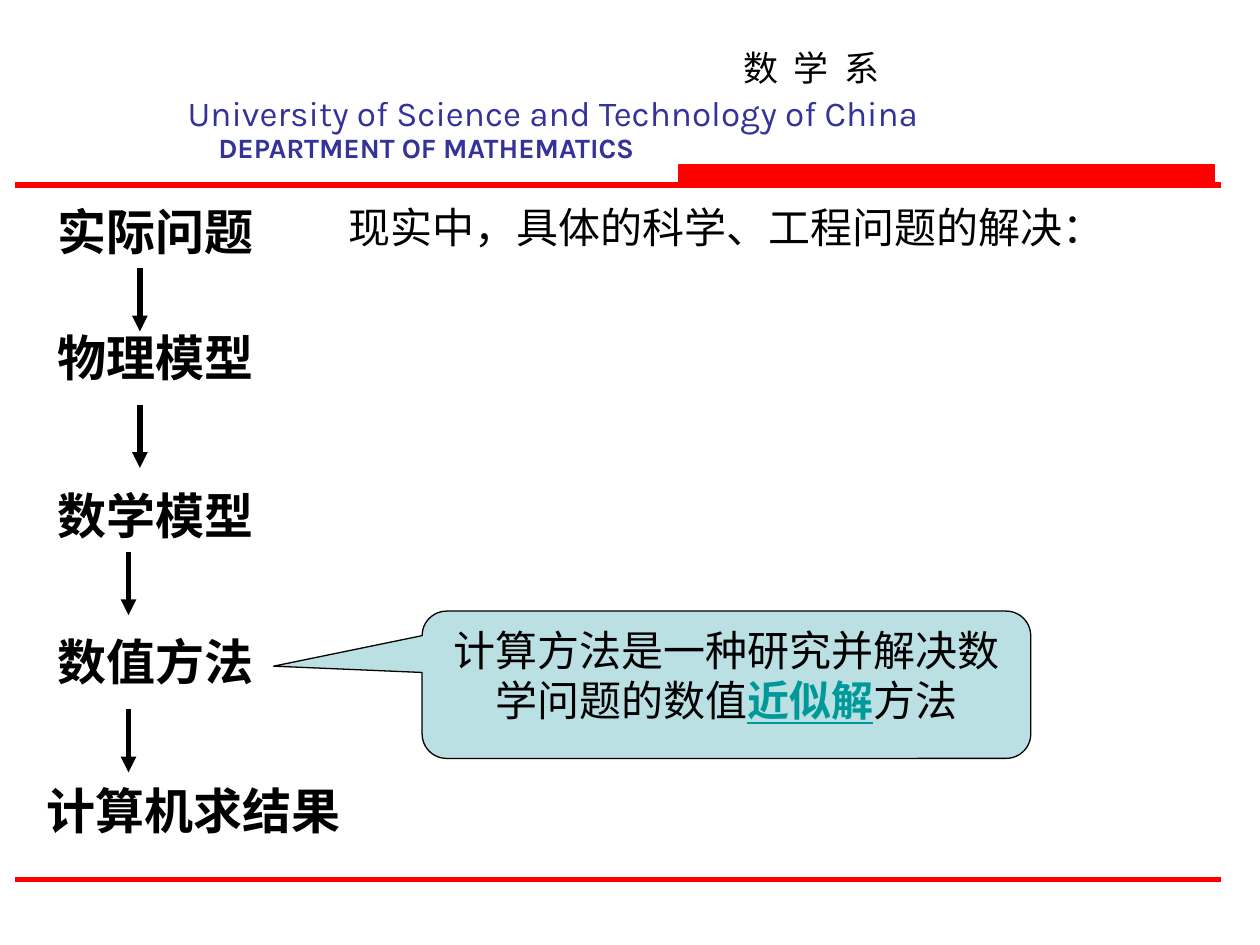
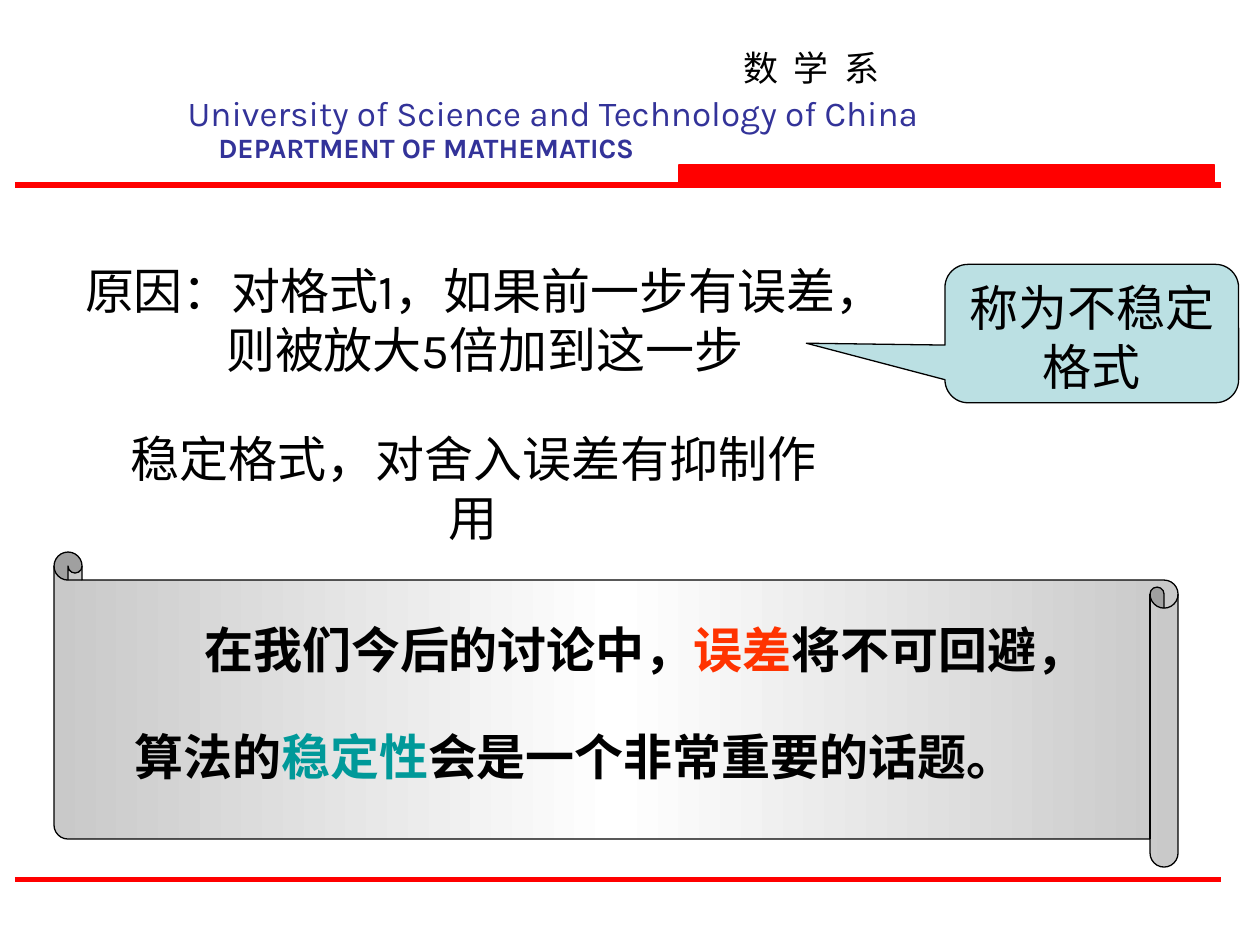
from lxml import etree
from pptx import Presentation
from pptx.dml.color import RGBColor
from pptx.enum import shapes, text
from pptx.oxml.ns import qn
from pptx.util import Cm, Pt

COLORS = {
    "red": "FF0000",
    "navy": "333399",
    "black": "000000",
    "teal": "009999",
    "orange": "FF3300",
    "callout": "BBE0E3",
    "silver": "C9C9C9",
    "white": "FFFFFF",
}
FONT = "Karla"
CJK_FONT = "Noto Sans CJK SC"
SCROLL_FONT = "Times New Roman"
CENTER = text.PP_ALIGN.CENTER
LEFT = text.PP_ALIGN.LEFT


def rgb(name):
    return RGBColor.from_string(COLORS[name])


def place(box):
    return [Cm(length) for length in box]


def write(paragraph, pieces, size, align=LEFT, font=FONT):
    """Fill a paragraph from (words, colour, bold, underline) pieces."""
    paragraph.alignment = align
    for words, color, bold, underline in pieces:
        run = paragraph.add_run()
        run.text = words
        run.font.name = font
        run.font.size = Pt(size)
        run.font.bold = bold
        run.font.underline = underline
        run.font.color.rgb = rgb(color)


def plain(words, color="black", bold=False, underline=False):
    return words, color, bold, underline


def label(slide, box, lines, size, color="black", bold=False, align=LEFT,
          font=FONT, wrap=True):
    frame = slide.shapes.add_textbox(*place(box)).text_frame
    frame.word_wrap = wrap
    for i, line in enumerate(lines):
        paragraph = frame.add_paragraph() if i else frame.paragraphs[0]
        write(paragraph, [plain(line, color, bold)], size, align, font)
    return frame


def line(slide, start, end, color, arrow=False):
    connector = slide.shapes.add_connector(
        shapes.MSO_CONNECTOR.STRAIGHT, *place(start + end))
    connector.line.color.rgb = rgb(color)
    connector.line.width = Pt(3)
    if arrow:
        etree.SubElement(connector.line._get_or_add_ln(), qn("a:tailEnd"),
                         type="triangle")
    etree.SubElement(connector._element.spPr, qn("a:effectLst"))


def outlined(slide, kind, box, fill, border):
    shape = slide.shapes.add_shape(kind, *place(box))
    shape.shadow.inherit = False
    shape.fill.solid()
    shape.fill.fore_color.rgb = rgb(fill)
    shape.line.color.rgb = rgb(border)
    shape.line.width = Pt(0.75)
    return shape


def callout(slide, box, tip, pieces, size):
    """Rounded speech bubble; tip is its point, relative to the box centre."""
    bubble = outlined(slide, shapes.MSO_SHAPE.ROUNDED_RECTANGULAR_CALLOUT,
                      box, "callout", "black")
    for i, share in enumerate(tip):
        bubble.adjustments[i] = share
    frame = bubble.text_frame
    frame.word_wrap = True
    frame.vertical_anchor = text.MSO_ANCHOR.TOP
    write(frame.paragraphs[0], pieces, size, CENTER)


def department_frame(slide):
    """Header, red rules and red band shared by all slides."""
    left, right = 0.3, 24.61
    for y in (3.73, 17.73):
        line(slide, (left, y), (right, y), "red")
    outlined(slide, shapes.MSO_SHAPE.RECTANGLE, (13.69, 3.33, 10.8, 0.4),
             "red", "red")
    name = label(slide, (14.73, 0.82, 3.25, 1.11), ["数 学 系"], 20,
                 align=CENTER, font=CJK_FONT, wrap=False)
    name.paragraphs[0].runs[0].font._element.set("spc", "220")
    label(slide, (3.28, 1.73, 15.75, 1.11),
          ["University of Science and Technology of China"], 20, "navy",
          align=CENTER, wrap=False)
    label(slide, (3.86, 2.51, 9.47, 0.94), ["DEPARTMENT OF MATHEMATICS"], 16,
          "navy", bold=True, align=CENTER, wrap=False)


def solution_steps(slide, left, top):
    """Column of steps with an arrow below each one but the last."""
    steps = [("实际问题", 0.23, 0), ("物理模型", 0.23, 2.54),
             ("数学模型", 0.23, 5.72), ("数值方法", 0.23, 8.66),
             ("计算机求结果", 0, 11.66)]
    for words, indent, drop in steps:
        label(slide, (left + indent, top + drop, 7.4, 1.45), [words], 28,
              bold=True)
    arrows = [(2.13, 1.47), (2.13, 4.22), (1.9, 7.19), (1.9, 10.36)]
    for x, drop in arrows:
        line(slide, (left + x, top + drop), (left + x, top + drop + 1.27),
             "black", arrow=True)


def scroll(slide, box):
    banner = outlined(slide, shapes.MSO_SHAPE.HORIZONTAL_SCROLL, box,
                      "silver", "black")
    banner.adjustments[0] = 0.089
    banner._element.spPr.find(qn("a:xfrm")).set("flipH", "1")

    banner.fill.gradient()
    banner.fill.gradient_angle = 0
    stops = banner.fill._fill._gradFill.find(qn("a:gsLst"))
    for stop in list(stops):
        stops.remove(stop)
    for share, color in ((0, "silver"), (50, "white"), (100, "silver")):
        stop = etree.SubElement(stops, qn("a:gs"), pos=str(share * 1000))
        etree.SubElement(stop, qn("a:srgbClr"), val=COLORS[color])

    frame = banner.text_frame
    frame.word_wrap = True
    frame.vertical_anchor = text.MSO_ANCHOR.MIDDLE
    frame.margin_top, frame.margin_bottom = Cm(0.64), Cm(1.3)
    remarks = [
        (2.5, [plain("在我们今后的讨论中，", bold=True),
               plain("误差", "orange", True),
               plain("将不可回避，", bold=True)]),
        (1.09, [plain("算法的", bold=True),
                plain("稳定性", "teal", True),
                plain("会是一个非常重要的话题。", bold=True)]),
    ]
    for i, (indent, pieces) in enumerate(remarks):
        paragraph = frame.add_paragraph() if i else frame.paragraphs[0]
        write(paragraph, pieces, 28, font=SCROLL_FONT)
        paragraph.line_spacing = 1.3
        paragraph.space_before = Pt(17.5)
        paragraph._p.get_or_add_pPr().set("marL", str(Cm(indent)))


def modelling_slide(slide):
    department_frame(slide)
    label(slide, (6.78, 3.94, 18.62, 1.27),
          ["现实中，具体的科学、工程问题的解决："], 24)
    solution_steps(slide, 0.69, 3.94)
    callout(slide, (8.51, 12.32, 12.27, 2.97), (-0.744, -0.126),
            [plain("计算方法是一种研究并解决数学问题的数值"),
             plain("近似解", "teal", True, True),
             plain("方法")], 24)


def stability_slide(slide):
    department_frame(slide)
    label(slide, (0.84, 5.13, 17.86, 2.64),
          ["原因：对格式1，如果前一步有误差，", "则被放大5倍加到这一步"], 28,
          align=CENTER)
    callout(slide, (19.05, 5.33, 5.92, 2.79), (-0.972, 0.07),
            [plain("称为不稳定格式")], 28)
    label(slide, (1.9, 8.51, 15.29, 1.45),
          ["稳定格式，对舍入误差有抑制作用"], 28, align=CENTER, wrap=False)
    scroll(slide, (1.09, 11.13, 22.66, 6.35))


def main():
    deck = Presentation()
    deck.slide_width, deck.slide_height = Cm(25.4), Cm(19.05)
    for build in (modelling_slide, stability_slide):
        build(deck.slides.add_slide(deck.slide_layouts[6]))
    deck.save("out.pptx")


if __name__ == "__main__":
    main()
